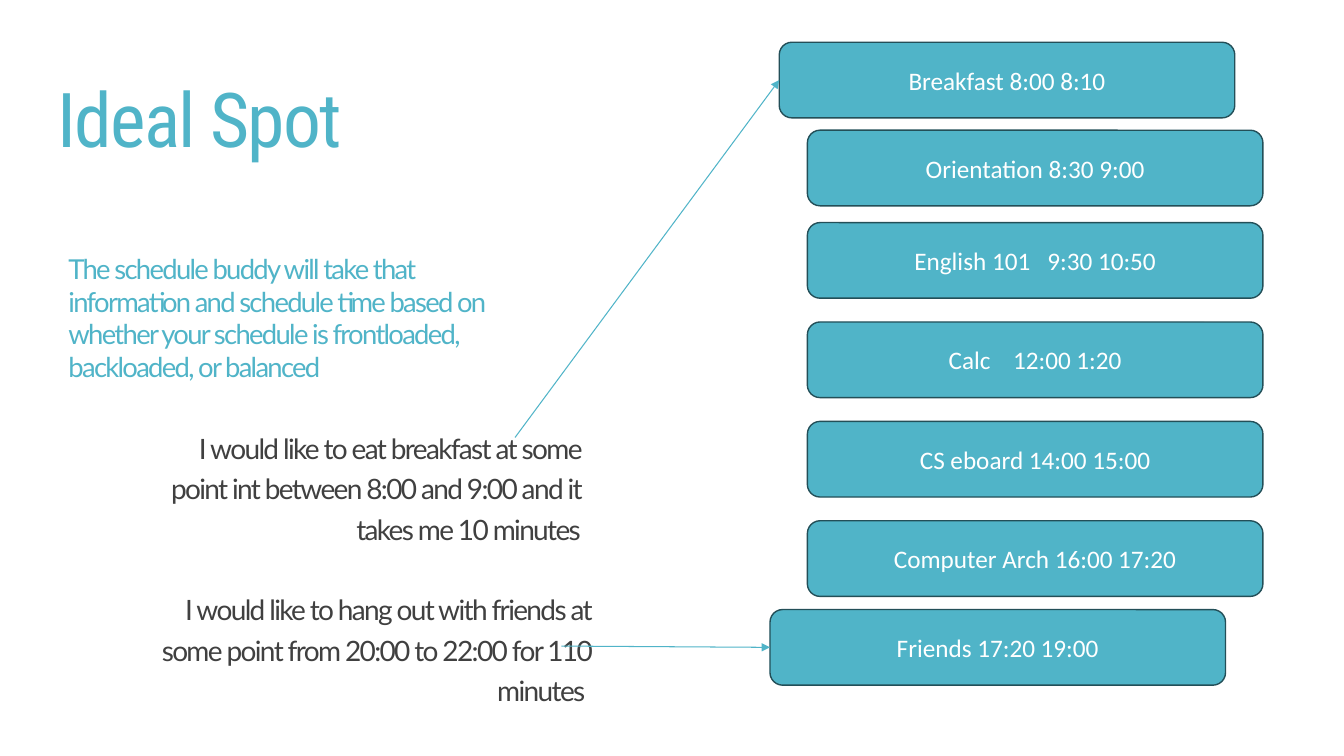
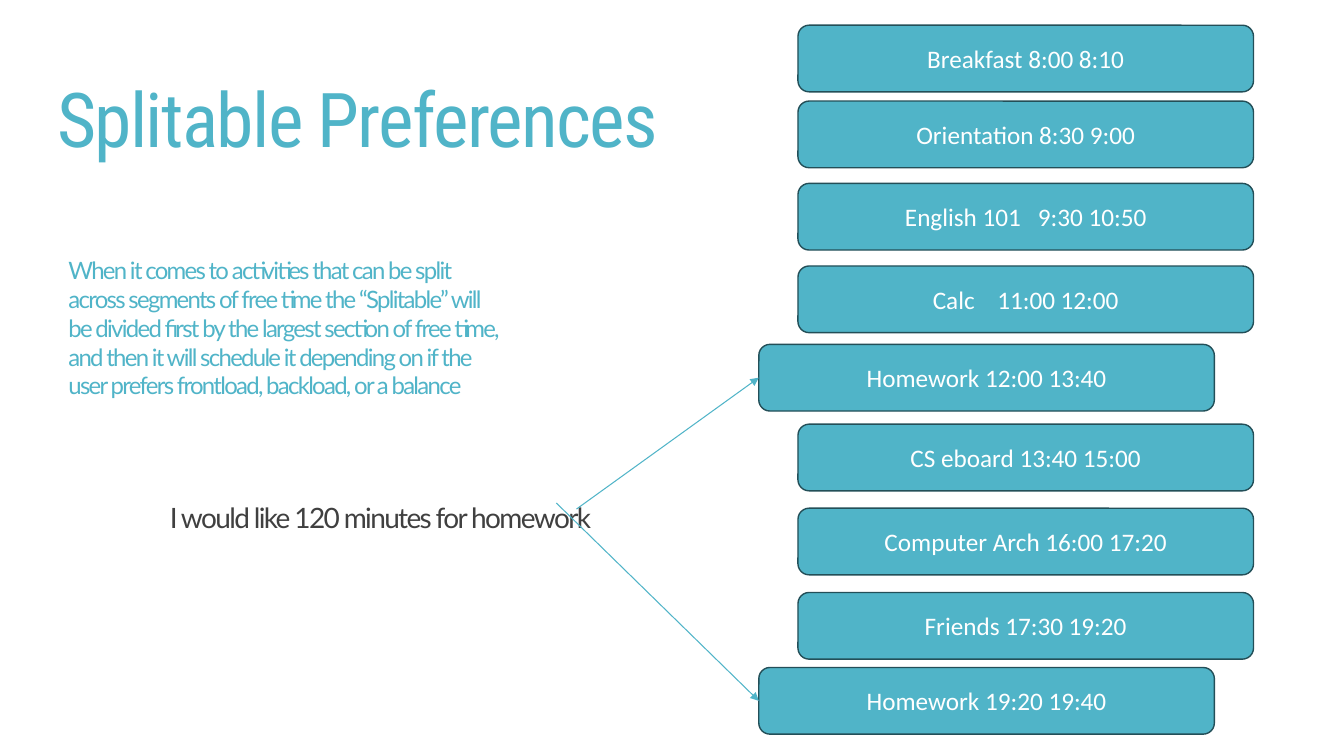
from lxml import etree
from pptx import Presentation
from pptx.dml.color import RGBColor
from pptx.enum.shapes import MSO_CONNECTOR as Connector, MSO_SHAPE as Shape
from pptx.enum.text import MSO_ANCHOR as Anchor, PP_ALIGN as Align
from pptx.oxml.ns import qn
from pptx.util import Pt

TEAL = RGBColor(0x50, 0xB4, 0xC8)
DARK_TEAL = RGBColor(0x23, 0x4F, 0x58)
GREY = RGBColor(0x40, 0x40, 0x40)
WHITE = RGBColor(0xFF, 0xFF, 0xFF)

TITLE_BOX = (33.8, 23.8, 848.2, 130.3)
INTRO_PLACE = (41.8, 184.3)
TEXT_SIZE = (324, 130.3)
EVENT_WIDTH = 325.4
TIGHT = -1.2  # letter spacing

TITLE_FONT = {"name": "Roboto Condensed", "size": Pt(54), "color": TEAL}
REQUEST_FONT = {"name": "Lato", "size": Pt(20), "color": GREY}
EVENT_FONT = {"name": "Calibri", "size": Pt(18), "color": WHITE}
REQUEST_BOTTOM_MARGIN = 81.4

# Events: left, top, name, times, extra space between name and times
# Requests: left, top, text
# Arrows: start x, start y, index of the event it points to
SLIDES = [
    {
        "title": "Ideal Spot",
        "intro": "The schedule buddy will take that information and schedule time "
                 "based on whether your schedule is frontloaded, backloaded, or balanced",
        "intro_size": 19.6,
        "intro_bottom_margin": 48.8,
        "requests": [
            (97.9, 320.4, "I would like to eat breakfast at some point int between "
                          "8:00 and 9:00 and it takes me 10 minutes"),
            (105.1, 435.6, "I would like to hang out with friends at some point from "
                           "20:00 to 22:00 for 110 minutes "),
        ],
        "event_height": 54,
        "events": [
            (556.6, 30.2, "Breakfast", "8:00 8:10", 0),
            (576.7, 93, "Orientation", "8:30 9:00", 0),
            (576.7, 159, "English 101", "9:30 10:50", 8),
            (576.7, 230, "Calc", "12:00 1:20", 12),
            (576.7, 301, "CS eboard", "14:00 15:00", 0),
            (576.7, 372, "Computer Arch", "16:00 17:20", 0),
            (550, 435.4, "Friends", "17:20 19:00", 0),
        ],
        "arrows": [(367.9, 312.5, 0), (401, 461.5, 6)],
    },
    {
        "title": "Splitable Preferences",
        "intro": "When it comes to activities that can be split across segments of "
                 "free time the “Splitable” will be divided first by the largest "
                 "section of free time, and then it will schedule it depending on if "
                 "the user prefers frontload, backload, or a balance",
        "intro_size": 17.1,
        "intro_bottom_margin": 34.3,
        "requests": [(105.1, 340.6, "I would like 120 minutes for homework")],
        "event_height": 47.6,
        "events": [
            (570, 18, "Breakfast", "8:00 8:10", 0),
            (570, 72.2, "Orientation", "8:30 9:00", 0),
            (570, 131, "English 101", "9:30 10:50", 8),
            (570, 190, "Calc", "11:00 12:00", 12),
            (542, 246, "Homework", "12:00 13:40", 0),
            (570, 303, "CS eboard", "13:40 15:00", 0),
            (570, 363, "Computer Arch", "16:00 17:20", 0),
            (570, 423.2, "Friends", "17:30 19:20", 0),
            (542, 476.8, "Homework", "19:20 19:40", 0),
        ],
        "arrows": [(411.8, 363.6, 4), (397.4, 359.3, 8)],
    },
]


def add_run(paragraph, text, font, spacing=0):
    run = paragraph.add_run()
    run.text = text
    for attribute, value in font.items():
        if attribute == "color":
            run.font.color.rgb = value
        else:
            setattr(run.font, attribute, value)
    if spacing:
        run.font._element.set("spc", str(round(spacing * 100)))


def add_text(slide, box, text, font, bottom_margin=3.6, **paragraph_format):
    frame = slide.shapes.add_textbox(*map(Pt, box)).text_frame
    frame.word_wrap = True
    frame.vertical_anchor = Anchor.MIDDLE
    frame.margin_bottom = Pt(bottom_margin)
    paragraph = frame.paragraphs[0]
    for attribute, value in paragraph_format.items():
        setattr(paragraph, attribute, value)
    add_run(paragraph, text, font, TIGHT)


def add_event(slide, left, top, height, name, times, gap):
    shape = slide.shapes.add_shape(
        Shape.ROUNDED_RECTANGLE, *map(Pt, (left, top, EVENT_WIDTH, height)))
    shape.shadow.inherit = False
    shape.fill.solid()
    shape.fill.fore_color.rgb = TEAL
    shape.line.color.rgb = DARK_TEAL
    shape.line.width = Pt(1)
    shape.text_frame.vertical_anchor = Anchor.MIDDLE
    paragraph = shape.text_frame.paragraphs[0]
    paragraph.alignment = Align.CENTER
    for text, spacing in ((name, 0), (" ", gap), (times, 0)):
        add_run(paragraph, text, EVENT_FONT, spacing)


def add_arrow(slide, *ends):
    arrow = slide.shapes.add_connector(Connector.STRAIGHT, *map(Pt, ends))
    arrow.line.color.rgb = TEAL
    arrow.line.width = Pt(0.75)
    etree.SubElement(arrow.line._get_or_add_ln(), qn("a:tailEnd"), type="triangle")
    etree.SubElement(arrow._element.spPr, qn("a:effectLst"))


def add_schedule_slide(presentation, content):
    slide = presentation.slides.add_slide(presentation.slide_layouts[6])
    add_text(slide, TITLE_BOX, content["title"], TITLE_FONT, line_spacing=0.85)
    intro_font = {"name": "Lato", "size": Pt(content["intro_size"]), "color": TEAL}
    add_text(slide, INTRO_PLACE + TEXT_SIZE, content["intro"], intro_font,
             content["intro_bottom_margin"])
    for left, top, text in content["requests"]:
        add_text(slide, (left, top) + TEXT_SIZE, text, REQUEST_FONT,
                 REQUEST_BOTTOM_MARGIN, alignment=Align.RIGHT, line_spacing=1.2)
    height = content["event_height"]
    for left, top, name, times, gap in content["events"]:
        add_event(slide, left, top, height, name, times, gap)
    for x, y, target in content["arrows"]:
        left, top = content["events"][target][:2]
        add_arrow(slide, x, y, left, top + height / 2)


def main():
    presentation = Presentation()
    presentation.slide_width = Pt(960)
    presentation.slide_height = Pt(540)
    for content in SLIDES:
        add_schedule_slide(presentation, content)
    presentation.save("out.pptx")


if __name__ == "__main__":
    main()
